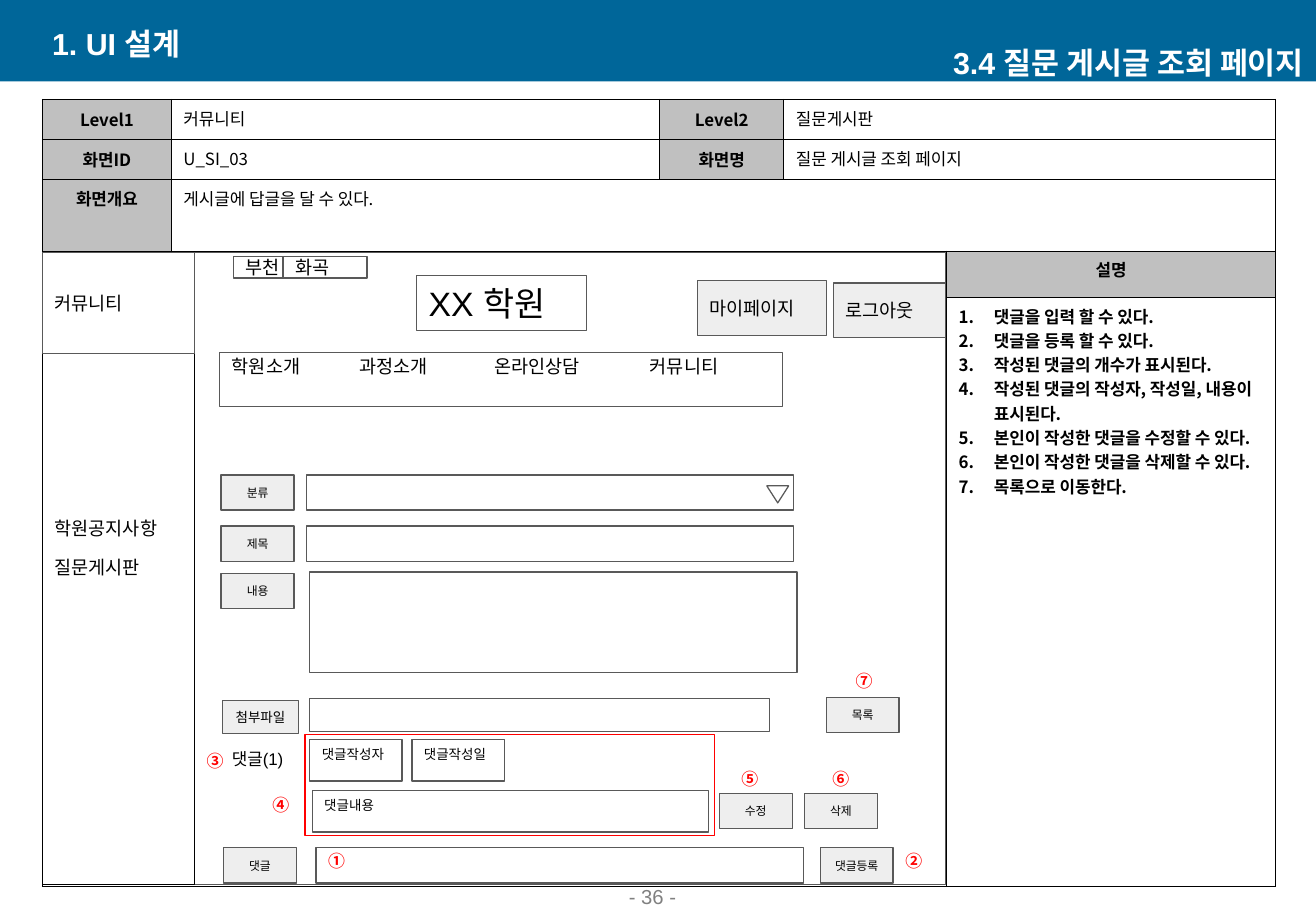
from lxml import etree
from pptx import Presentation
from pptx.dml import color
from pptx.enum import shapes, text
from pptx.oxml import ns
from pptx.util import Inches, Pt

KR = "Noto Sans CJK KR"
GRAY, LIGHT, WHITE, RED = "595959", "EEEEEE", "FFFFFF", "FF0000"
LEFT, CENTER, RIGHT = text.PP_ALIGN.LEFT, text.PP_ALIGN.CENTER, text.PP_ALIGN.RIGHT
TOP, MIDDLE, BOTTOM = text.MSO_ANCHOR.TOP, text.MSO_ANCHOR.MIDDLE, text.MSO_ANCHOR.BOTTOM


def rgb(value):
    return color.RGBColor.from_string(value)


def style(p, size, ink="000000", bold=False, font="Arial", align=LEFT):
    p.alignment = align
    for r in p.runs:
        r.font.size = Pt(size)
        r.font.bold = bold
        r.font.name = font
        r.font.color.rgb = rgb(ink)
        ea = etree.SubElement(r._r.get_or_add_rPr(), ns.qn("a:ea"))
        ea.set("typeface", KR)


def write(sp, words, size, anchor=MIDDLE, pad=0.1, **look):
    tf = sp.text_frame
    tf.word_wrap = True
    tf.vertical_anchor = anchor
    tf.margin_left = tf.margin_right = Inches(0.1)
    tf.margin_top = tf.margin_bottom = Inches(pad)
    tf.text = words
    for p in tf.paragraphs:
        style(p, size, **look)
    return tf


def shape(s, x, y, w, h, fill=WHITE, line=GRAY, kind=shapes.MSO_SHAPE.RECTANGLE):
    sp = s.shapes.add_shape(kind, Inches(x), Inches(y), Inches(w), Inches(h))
    sp.shadow.inherit = False
    if fill:
        sp.fill.solid()
        sp.fill.fore_color.rgb = rgb(fill)
    else:
        sp.fill.background()
    if line:
        sp.line.color.rgb = rgb(line)
        sp.line.width = Pt(0.75)
    else:
        sp.line.fill.background()
    return sp


def label(s, x, y, w, h, words, size, pad=0.05, **look):
    sp = s.shapes.add_textbox(Inches(x), Inches(y), Inches(w), Inches(h))
    write(sp, words, size, pad=pad, **look)


def button(s, x, y, words, w=0.6, h=0.29, size=7, align=CENTER):
    write(shape(s, x, y, w, h, LIGHT), words, size, align=align)


def badge(s, x, y, mark):
    label(s, x, y, 0.34, 0.27, mark, 10, anchor=TOP, ink=RED, bold=True, font=KR, align=CENTER)


def header(s, x, y, w, h):
    band = shape(s, x, y, w, h, "006699", None)
    s.shapes._spTree.insert(2, band._element)
    title = s.shapes.title
    title.left, title.top = Inches(x + w - 4.38), Inches(y + 0.35)
    title.width, title.height = Inches(4.38), Inches(0.33)
    write(title, "3.4 질문 게시글 조회 페이지", 18, pad=0.05, ink=WHITE, bold=True, align=RIGHT)
    label(s, x + 0.33, y + 0.19, 4.38, 0.33, "1. UI 설계", 18, ink=WHITE, bold=True)


def format_cell(cell, words="", head=False, anchor=TOP):
    tcPr = cell._tc.get_or_add_tcPr()
    for side in ("lnL", "lnR", "lnT", "lnB"):
        ln = etree.SubElement(tcPr, ns.qn("a:" + side), w=str(Pt(1)))
        fill = etree.SubElement(ln, ns.qn("a:solidFill"))
        etree.SubElement(fill, ns.qn("a:srgbClr"), val="000000")
    if head:
        cell.fill.solid()
        cell.fill.fore_color.rgb = rgb("C0C0C0")
    else:
        cell.fill.background()
    cell.vertical_anchor = anchor
    cell.text_frame.text = words
    for p in cell.text_frame.paragraphs:
        style(p, 10, bold=head, font=KR, align=CENTER if head else LEFT)


def spec_table(s, x, y):
    widths = (1.06, 4.02, 1.02, 1.34, 2.71)
    heights = (0.33, 0.33, 0.59, 0.38, 4.85)
    frame = s.shapes.add_table(5, 5, Inches(x), Inches(y), Inches(sum(widths)), Inches(sum(heights)))
    table = frame.table
    table.first_row = table.horz_banding = False
    for column, w in zip(table.columns, widths):
        column.width = Inches(w)
    for row, h in zip(table.rows, heights):
        row.height = Inches(h)
    heads = {(0, 0): "Level1", (0, 2): "Level2", (1, 0): "화면ID", (1, 2): "화면명",
             (2, 0): "화면개요", (3, 4): "설명"}
    values = {(0, 1): "커뮤니티", (0, 3): "질문게시판", (1, 1): "U_SI_03",
              (1, 3): "질문 게시글 조회 페이지", (2, 1): "게시글에 답글을 달 수 있다."}
    for i in range(5):
        for j in range(5):
            words = heads.get((i, j), values.get((i, j), ""))
            format_cell(table.cell(i, j), words, (i, j) in heads,
                        MIDDLE if (i, j) in heads and i < 2 else TOP)
    for first, last in (((0, 3), (0, 4)), ((1, 3), (1, 4)), ((2, 1), (2, 4)), ((3, 0), (4, 3))):
        table.cell(*first).merge(table.cell(*last))
    notes = ("댓글을 입력 할 수 있다.", "댓글을 등록 할 수 있다.", "작성된 댓글의 개수가 표시된다.",
             "작성된 댓글의 작성자, 작성일, 내용이 표시된다.", "본인이 작성한 댓글을 수정할 수 있다.",
             "본인이 작성한 댓글을 삭제할 수 있다.", "목록으로 이동한다.")
    tf = table.cell(4, 4).text_frame
    tf.text = "\n".join(notes)
    for p in tf.paragraphs:
        pPr = p._p.get_or_add_pPr()
        pPr.set("marL", str(Inches(0.29)))
        pPr.set("indent", str(-Inches(0.29)))
        etree.SubElement(pPr, ns.qn("a:buFont"), typeface=KR)
        etree.SubElement(pPr, ns.qn("a:buAutoNum"), type="arabicPeriod")
        style(p, 10, bold=True, font=KR)


def sidebar(s, x, y, w, h):
    tf = write(shape(s, x, y + 0.02, w, h - 0.02, line="000000"), "학원공지사항\n질문게시판", 11)
    tf.margin_bottom = Inches(0.46)
    tf.paragraphs[1].space_before = Pt(10)
    write(shape(s, x, y, w, 0.83), "커뮤니티", 11)


def site_header(s, x, y):
    write(shape(s, x + 1.83, y + 0.19, 1.4, 0.45), "XX 학원", 20)
    for dx, w, campus in ((0.32, 0.6, "부천"), (0.73, 0.69, "화곡")):
        write(shape(s, x + dx, y + 0.03, w, 0.18), campus, 11)
    button(s, x + 4.14, y + 0.23, "마이페이지", 1.06, 0.45, 11, LEFT)
    button(s, x + 5.26, y + 0.25, "로그아웃", 0.92, 0.45, 11, LEFT)
    menu = shape(s, x + 0.21, y + 0.82, 4.63, 0.45)
    tf = write(menu, "학원소개\t과정소개\t온라인상담\t커뮤니티", 11)
    tabs = etree.SubElement(tf.paragraphs[0]._p.get_or_add_pPr(), ns.qn("a:tabLst"))
    for stop in (1.05, 2.16, 3.44):
        etree.SubElement(tabs, ns.qn("a:tab"), pos=str(Inches(stop)), algn="l")
    tf.vertical_anchor = TOP
    tf.margin_top = Inches(0.02)


def post_form(s, x, y):
    for dy, name in ((0, "분류"), (0.42, "제목"), (0.81, "내용")):
        button(s, x, y + dy, name)
    for dy in (0, 0.42):
        shape(s, x + 0.7, y + dy, 4.01, 0.29)
    arrow = shape(s, x + 4.49, y + 0.09, 0.18, 0.14, kind=shapes.MSO_SHAPE.ISOSCELES_TRIANGLE)
    arrow.rotation = 180
    shape(s, x + 0.73, y + 0.8, 4.01, 0.83)
    button(s, x + 0.01, y + 1.86, "첨부파일", 0.63, 0.27, 8)
    shape(s, x + 0.73, y + 1.84, 3.78, 0.27)
    button(s, x + 4.98, y + 1.83, "목록")
    badge(s, x + 5.12, y + 1.56, "⑦")


def comments(s, x, y):
    label(s, x + 0.21, y + 0.03, 0.8, 0.37, "댓글(1)", 10, pad=0.1, anchor=TOP)
    for dx, dy, w, name in ((0.95, 0.04, 0.76, "댓글작성자"), (1.79, 0.04, 0.76, "댓글작성일"),
                            (0.97, 0.46, 3.26, "댓글내용")):
        write(shape(s, x + dx, y + dy, w, 0.34, None), name, 8, anchor=TOP, pad=0.05)
    shape(s, x + 0.91, y, 3.37, 0.83, None, RED)
    shape(s, x + 1, y + 0.93, 4.01, 0.29)
    for dx, dy, name in ((4.32, 0.48, "수정"), (5.02, 0.48, "삭제"),
                         (0.24, 0.93, "댓글"), (5.15, 0.93, "댓글등록")):
        button(s, x + dx, y + dy, name)
    for dx, dy, mark in ((1, 0.9, "①"), (5.75, 0.9, "②"), (0, 0.08, "③"),
                         (0.54, 0.44, "④"), (4.4, 0.23, "⑤"), (5.15, 0.23, "⑥")):
        badge(s, x + dx, y + dy, mark)


def main():
    prs = Presentation()
    prs.slide_width, prs.slide_height = Inches(10.83), Inches(7.5)
    s = prs.slides.add_slide(prs.slide_layouts[5])
    header(s, 0, 0, 10.83, 0.67)
    shape(s, 0.35, 2.08, 7.43, 5.2)
    label(s, 4.24, 7.3, 2.26, 0.23, "- 36 -", 12, anchor=BOTTOM, ink="808080", align=CENTER)
    spec_table(s, 0.35, 0.82)
    sidebar(s, 0.35, 2.08, 1.25, 5.2)
    site_header(s, 1.6, 2.08)
    post_form(s, 1.82, 3.91)
    comments(s, 1.6, 6.05)
    prs.save("out.pptx")


if __name__ == "__main__":
    main()
